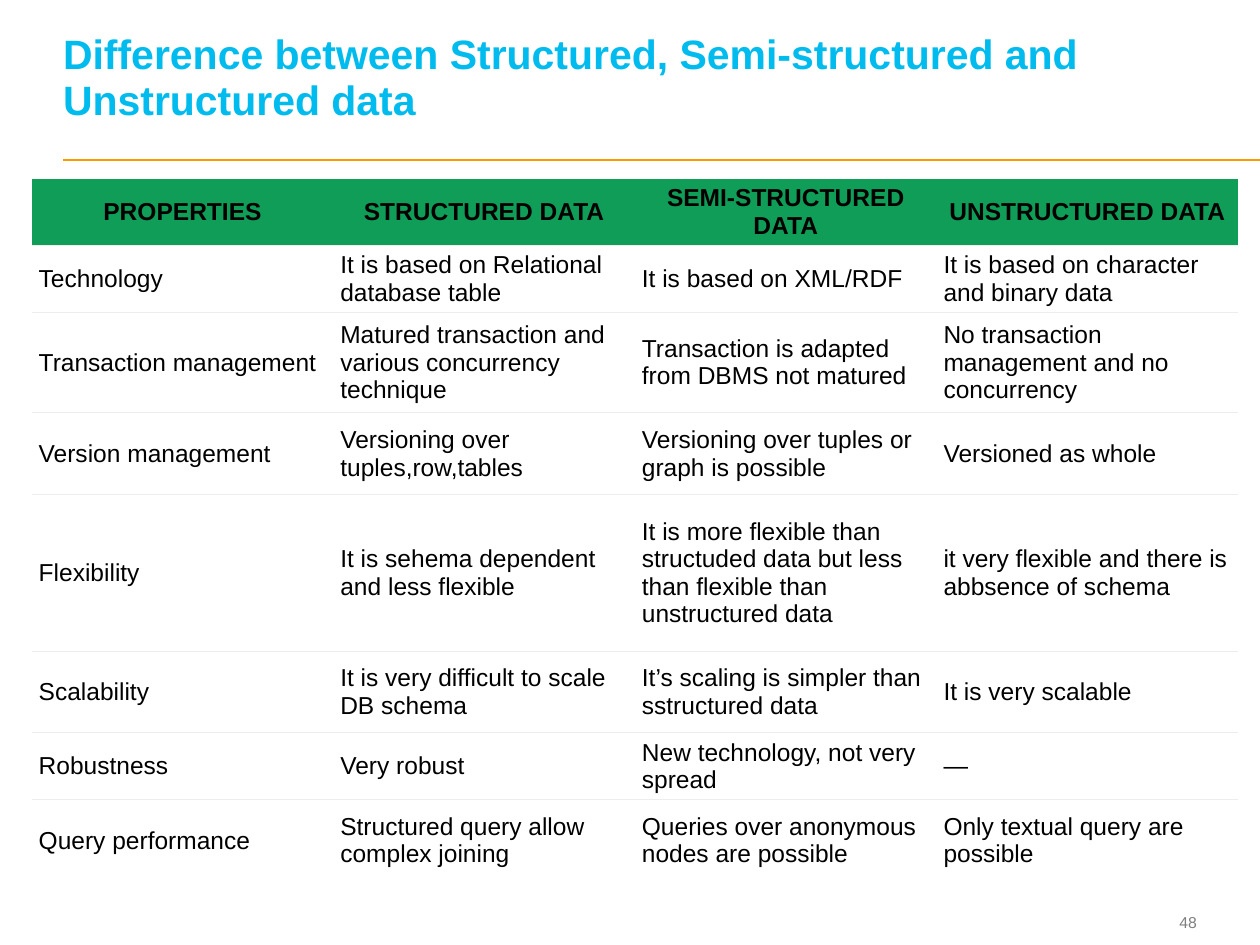
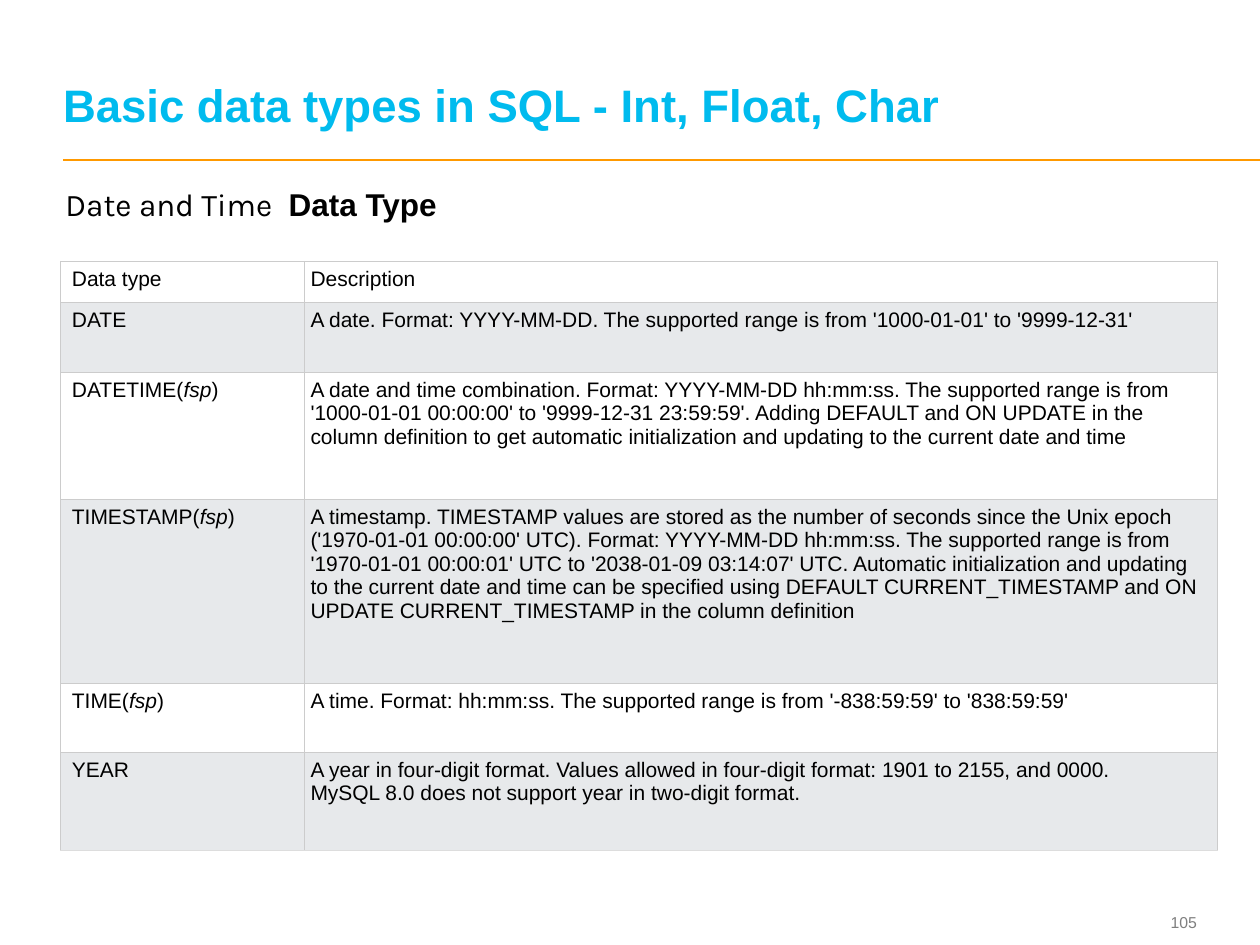
from copy import deepcopy

from lxml import etree
from pptx import Presentation
from pptx.dml.color import RGBColor
from pptx.enum import shapes, text
from pptx.oxml import ns
from pptx.util import Cm, Pt

# Shared style
SKY = RGBColor(0x00, 0xBB, 0xEE)
ORANGE = RGBColor(0xFF, 0x99, 0x00)
GREEN = RGBColor(0x0F, 0x9D, 0x58)
BLACK = RGBColor(0x00, 0x00, 0x00)
WHITE = RGBColor(0xFF, 0xFF, 0xFF)
GREY = RGBColor(0x7F, 0x7F, 0x7F)
BAND = RGBColor(0xE7, 0xE9, 0xEB)
GRID = RGBColor(0xCC, 0xCC, 0xCC)
GRID_END = RGBColor(0xDD, 0xDD, 0xDD)
HAIRLINE = RGBColor(0xED, 0xED, 0xED)
PLAIN_TABLE = "{2D5ABB26-0587-4C30-8999-92F81FD0307C}"
NO_INSETS = dict(margin_left=0, margin_right=0, margin_top=0, margin_bottom=0)

# Comparison of the kinds of data
COMPARISON = [
    ["PROPERTIES", "STRUCTURED DATA", "SEMI-STRUCTURED DATA", "UNSTRUCTURED DATA"],
    ["Technology", "It is based on Relational database table",
     "It is based on XML/RDF", "It is based on character and binary data"],
    ["Transaction management", "Matured transaction and various concurrency technique",
     "Transaction is adapted from DBMS not matured",
     "No transaction management and no concurrency"],
    ["Version management", "Versioning over tuples,row,tables",
     "Versioning over tuples or graph is possible", "Versioned as whole"],
    ["Flexibility", "It is sehema dependent and less flexible",
     "It is more flexible than structuded data but less than flexible than "
     "unstructured data",
     "it very flexible and there is abbsence of schema"],
    ["Scalability", "It is very difficult to scale DB schema",
     "It’s scaling is simpler than sstructured data", "It is very scalable"],
    ["Robustness", "Very robust", "New technology, not very spread", "—"],
    ["Query performance", "Structured query allow complex joining",
     "Queries over anonymous nodes are possible", "Only textual query are possible"],
]
COMPARISON_HEIGHTS = [1.3, 1.28, 2.03, 1.65, 3.15, 1.65, 1.27, 1.65]

# SQL date and time types
DATE_TYPES = [
    ["Data type", "Description"],
    ["DATE", "A date. Format: YYYY-MM-DD. The supported range is from "
     "'1000-01-01' to '9999-12-31'"],
    ["DATETIME(fsp)", "A date and time combination. Format: YYYY-MM-DD hh:mm:ss. "
     "The supported range is from '1000-01-01 00:00:00' to '9999-12-31 23:59:59'. "
     "Adding DEFAULT and ON UPDATE in the column definition to get automatic "
     "initialization and updating to the current date and time"],
    ["TIMESTAMP(fsp)", "A timestamp. TIMESTAMP values are stored as the number of "
     "seconds since the Unix epoch ('1970-01-01 00:00:00' UTC). Format: YYYY-MM-DD "
     "hh:mm:ss. The supported range is from '1970-01-01 00:00:01' UTC to "
     "'2038-01-09 03:14:07' UTC. Automatic initialization and updating to the "
     "current date and time can be specified using DEFAULT CURRENT_TIMESTAMP and "
     "ON UPDATE CURRENT_TIMESTAMP in the column definition"],
    ["TIME(fsp)", "A time. Format: hh:mm:ss. The supported range is from "
     "'-838:59:59' to '838:59:59'"],
    ["YEAR", "A year in four-digit format. Values allowed in four-digit format: "
     "1901 to 2155, and 0000.\nMySQL 8.0 does not support year in two-digit format."],
]
DATE_TYPE_HEIGHTS = [0.83, 1.4, 2.56, 3.71, 1.4, 1.98]


def apply(target, values):
    for key, value in values.items():
        setattr(target, key, value)


class Deck:
    """Holds the shared style and the slide being built."""

    def __init__(self):
        self.prs = Presentation()
        apply(self.prs, dict(slide_width=Cm(25.4), slide_height=Cm(19.05)))
        self.slide = None

    def start_slide(self, title, number, size, anchor):
        self.slide = self.prs.slides.add_slide(self.prs.slide_layouts[5])
        self.rule(1.27, 3.23, 25.4)
        self.textbox((22.63, 18.24, 1.5, 0.69), [(number, {})], 9, GREY,
                     dict(NO_INSETS, vertical_anchor=text.MSO_ANCHOR.MIDDLE),
                     text.PP_ALIGN.RIGHT)
        self.title(title, size, anchor)

    def title(self, words, size, anchor):
        heading = self.slide.shapes.title
        apply(heading, dict(left=Cm(1.27), top=Cm(0.48),
                            width=Cm(22.78), height=Cm(2.18)))
        frame = heading.text_frame
        apply(frame, dict(NO_INSETS, word_wrap=True, vertical_anchor=anchor,
                          auto_size=text.MSO_AUTO_SIZE.NONE))
        line = frame.paragraphs[0]
        apply(line, dict(alignment=text.PP_ALIGN.LEFT, line_spacing=Pt(26)))
        self.add_runs(line, [(words, dict(bold=True))], size, SKY)

    def rule(self, left, top, right):
        rule = self.slide.shapes.add_connector(
            shapes.MSO_CONNECTOR.STRAIGHT, Cm(left), Cm(top), Cm(right), Cm(top))
        rule.line.color.rgb = ORANGE
        rule.line.width = Pt(1)
        etree.SubElement(rule._element.spPr, ns.qn("a:effectLst"))

    def textbox(self, box, runs, size, color, frame_format, align=None):
        frame = self.slide.shapes.add_textbox(*map(Cm, box)).text_frame
        apply(frame, dict(frame_format, word_wrap=True))
        frame.paragraphs[0].alignment = align
        self.add_runs(frame.paragraphs[0], runs, size, color)

    def add_runs(self, paragraph, runs, size, color):
        for words, font_format in runs:
            for i, line in enumerate(words.split("\n")):
                if i:
                    paragraph.add_line_break()
                    paragraph._p[-1].append(deepcopy(run._r.rPr))
                run = paragraph.add_run()
                run.text = line
                apply(run.font, dict(dict(name="Arial", size=Pt(size)), **font_format))
                run.font.color.rgb = color

    def table(self, left, top, widths, heights):
        table = self.slide.shapes.add_table(
            len(heights), len(widths), Cm(left), Cm(top),
            Cm(sum(widths)), Cm(sum(heights))).table
        table._tbl.tblPr.find(ns.qn("a:tableStyleId")).text = PLAIN_TABLE
        for column, width in zip(table.columns, widths):
            column.width = Cm(width)
        for row, height in zip(table.rows, heights):
            row.height = Cm(height)
        return table

    def cell(self, cell, runs, size, fill, borders, margins, align=None,
             anchor=text.MSO_ANCHOR.TOP):
        left, right, vertical = map(Cm, margins)
        apply(cell, dict(margin_left=left, margin_right=right, margin_top=vertical,
                         margin_bottom=vertical, vertical_anchor=anchor))
        for side in "LRTB":
            if side in borders:
                self.border(cell, side, borders[side])
        cell.fill.solid()
        cell.fill.fore_color.rgb = fill
        paragraph = cell.text_frame.paragraphs[0]
        paragraph.alignment = align
        self.add_runs(paragraph, runs, size, BLACK)

    def border(self, cell, side, color):
        edge = etree.SubElement(cell._tc.get_or_add_tcPr(), ns.qn("a:ln" + side),
                                w=str(Pt(0.6)))
        solid = etree.SubElement(edge, ns.qn("a:solidFill"))
        etree.SubElement(solid, ns.qn("a:srgbClr"), val=str(color))


def comparison_slide(deck):
    deck.start_slide("Difference between Structured, Semi-structured and "
                     "Unstructured data", "48", 23.4, text.MSO_ANCHOR.MIDDLE)
    table = deck.table(0.64, 3.6, [6.08] * 4, COMPARISON_HEIGHTS)
    last = len(COMPARISON) - 1
    for r, row in enumerate(COMPARISON):
        header = r == 0
        borders = {}
        if r > 0:
            borders["T"] = HAIRLINE
        if r < last:
            borders["B"] = HAIRLINE
        side = 0.08 if header else 0.14
        for c, words in enumerate(row):
            deck.cell(table.cell(r, c), [(words, dict(bold=header))], 14,
                      GREEN if header else WHITE, borders, (side, side, 0.08),
                      text.PP_ALIGN.CENTER if header else text.PP_ALIGN.LEFT,
                      text.MSO_ANCHOR.MIDDLE)


def date_types_slide(deck):
    deck.start_slide("Basic data types in SQL - Int, Float, Char", "105", 26,
                     text.MSO_ANCHOR.BOTTOM)
    deck.textbox((1.07, 3.61, 8.26, 1.02),
                 [("Date and Time ", dict(name="Karla")),
                  (" Data Type", dict(bold=True))], 18, BLACK,
                 dict(auto_size=text.MSO_AUTO_SIZE.SHAPE_TO_FIT_TEXT))
    table = deck.table(1.22, 5.27, [4.92, 18.41], DATE_TYPE_HEIGHTS)
    last = len(DATE_TYPES) - 1
    for r, row in enumerate(DATE_TYPES):
        borders = dict.fromkeys("LRTB", GRID)
        if r == last:
            borders["B"] = GRID_END
        for c, words in enumerate(row):
            # The precision argument is set in italics
            runs = [(part, dict(italic=part == "fsp"))
                    for part in words.partition("fsp") if part]
            deck.cell(table.cell(r, c), runs, 12, BAND if r % 2 else WHITE,
                      borders, (0.12 if c else 0.23, 0.12, 0.12))


def main():
    deck = Deck()
    comparison_slide(deck)
    date_types_slide(deck)
    deck.prs.save("out.pptx")


if __name__ == "__main__":
    main()
